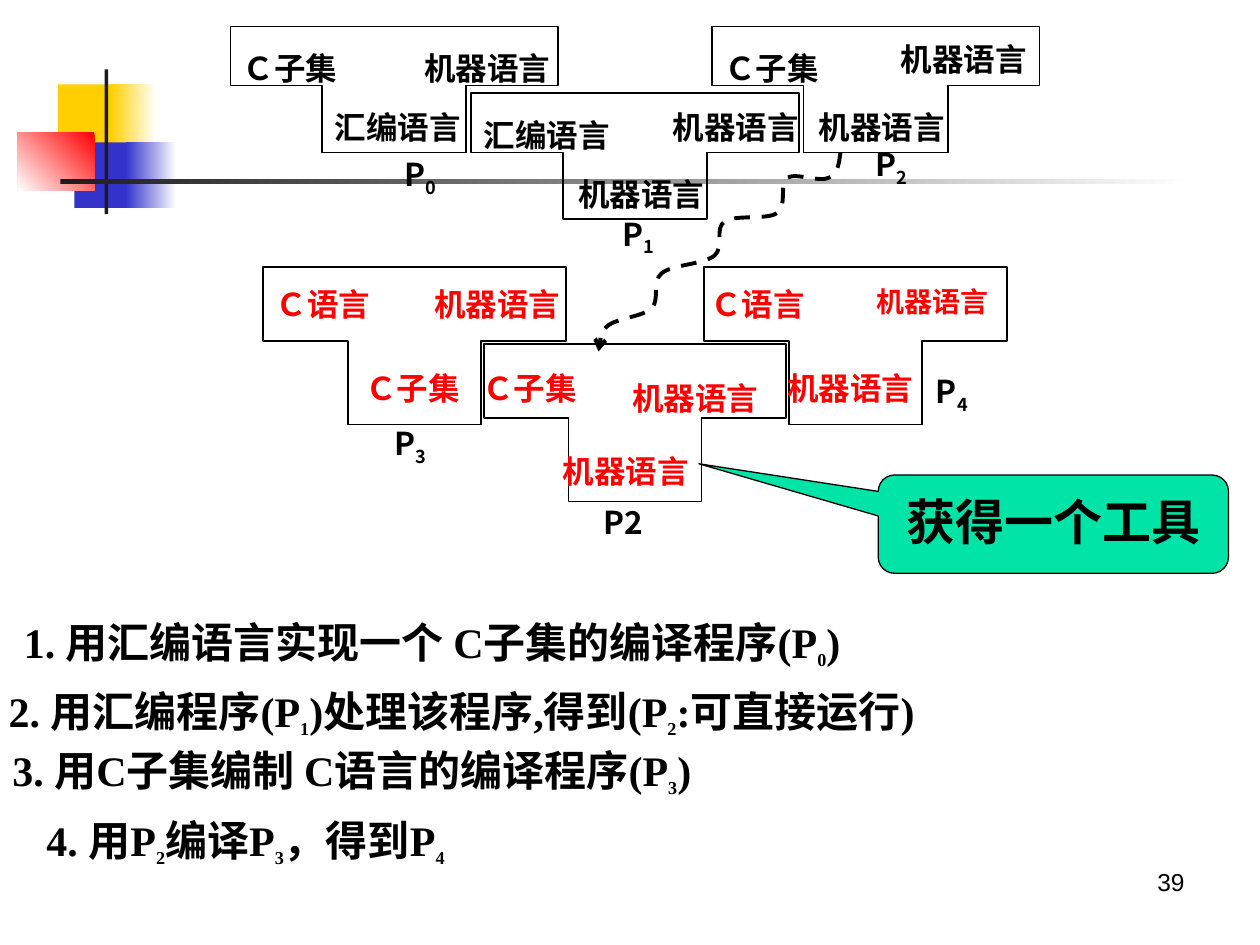
import pptx
import pptx.util
import pptx.dml.color
import pptx.enum.dml
import pptx.enum.shapes
import pptx.enum.text
import pptx.oxml
import pptx.oxml.ns
import lxml.etree

Inches = pptx.util.Inches
Pt = pptx.util.Pt
RGBColor = pptx.dml.color.RGBColor
SHAPE = pptx.enum.shapes.MSO_SHAPE
ALIGN = pptx.enum.text.PP_ALIGN
qn = pptx.oxml.ns.qn

BLACK = RGBColor(0x00, 0x00, 0x00)
WHITE = RGBColor(0xFF, 0xFF, 0xFF)
RED = RGBColor(0xFF, 0x00, 0x00)
GOLD = RGBColor(0xFF, 0xCF, 0x01)
BLUE = RGBColor(0x33, 0x33, 0xCC)
DARK = RGBColor(0x1C, 0x1C, 0x1C)
GREEN = RGBColor(0x00, 0xE4, 0xA8)

SERIF = "Times New Roman"
SANS = "Noto Sans CJK SC"

BARS = [
    ((0.46, 0.67, 0.48, 0.52), GOLD, None),
    ((0.88, 0.67, 0.36, 0.52), GOLD, 0),
    ((0.59, 1.13, 0.46, 0.52), BLUE, None),
    ((1, 1.13, 0.4, 0.52), BLUE, 0),
    ((0.14, 1.05, 0.61, 0.46), RED, 225),
    ((0.83, 0.55, 0.03, 1.15), DARK, None),
    ((0.48, 1.42, 9, 0.04), DARK, 0),
]

TOP, LOW = (2.6, 1), (2.4, 1.25)
TEES = [
    ((5.59, 2.12), LOW, RED,
     [("Ｃ语言", -0.05, 0.09, 1.04, 18), ("机器语言", 1.27, 0.09, 1.13, 16),
      ("机器语言", 0.56, 0.76, 1.29, 18)], (["P", "4"], 1.74, 0.75, 0.85)),
    ((3.84, 2.73), LOW, RED,
     [("Ｃ子集", -0.11, 0.15, 1.03, 18), ("机器语言", 1.08, 0.23, 1.35, 18),
      ("机器语言", 0.53, 0.81, 1.26, 18)], (["P2"], 0.85, 1.18, 0.85)),
    ((1.83, 0.21), TOP, BLACK,
     [("Ｃ子集", 0, 0.13, 0.96, 18), ("机器语言", 1.44, 0.13, 1.26, 18),
      ("汇编语言", 0.73, 0.6, 1.23, 18)], (["P", "0"], 1.28, 0.94, 1.22)),
    ((3.74, 0.74), TOP, BLACK,
     [("汇编语言", 0, 0.13, 1.26, 18), ("机器语言", 1.5, 0.07, 1.27, 18),
      ("机器语言", 0.75, 0.6, 1.22, 18)], (["P", "1"], 1.1, 0.88, 0.98)),
    ((5.65, 0.21), TOP, BLACK,
     [("Ｃ子集", 0, 0.13, 1.01, 18), ("机器语言", 1.4, 0.06, 1.31, 18),
      ("机器语言", 0.75, 0.6, 1.28, 18)], (["P", "2"], 1.2, 0.86, 0.98)),
    ((2.09, 2.12), LOW, RED,
     [("Ｃ语言", 0, 0.09, 1.02, 18), ("机器语言", 1.26, 0.09, 1.26, 18),
      ("Ｃ子集", 0.71, 0.76, 1.02, 18)], (["P", "3"], 0.94, 1.16, 0.85)),
]

CURVE = [
    (6.67, 1.21), (6.66, 1.29), (6.65, 1.38), (6.58, 1.41), (6.51, 1.45),
    (6.32, 1.37), (6.25, 1.41), (6.18, 1.46), (6.25, 1.63), (6.17, 1.69),
    (6.08, 1.75), (5.83, 1.7), (5.75, 1.76), (5.67, 1.81), (5.75, 1.96),
    (5.67, 2.03), (5.58, 2.1), (5.33, 2.1), (5.25, 2.17), (5.17, 2.24),
    (5.24, 2.38), (5.17, 2.45), (5.1, 2.51), (4.9, 2.53), (4.83, 2.58),
    (4.76, 2.64), (4.76, 2.72), (4.75, 2.79),
]

STEPS = [
    ((0.09, 4.76, 7.09, 0.61), 1.2, False,
     ["1. 用汇编语言实现一个 C子集的编译程序(P", "0", ")"]),
    ((-0.03, 5.31, 8.03, 0.61), 1.2, False,
     ["2. 用汇编程序(P", "1", ")处理该程序,得到(P", "2", ":可直接运行)"]),
    ((0, 5.82, 6.16, 0.57), 1.1, False,
     ["3. 用C子集编制 C语言的编译程序(P", "3", ")"]),
    ((0.27, 6.33, 9.33, 0.61), 1.2, True,
     ["4. 用P", "2", "编译P", "3", "，得到P", "4"]),
]


def place(box):
    """Turn a box in inches into lengths."""
    return [Inches(part) for part in box]


def write(para, parts, size, face, tint, bold=True):
    """Add runs to a paragraph, every second one as an 18 pt subscript."""
    for rank, part in enumerate(parts):
        run = para.add_run()
        run.text = part
        font = run.font
        font.size = Pt(18 if rank % 2 else size)
        font.bold = bold
        font.name = face
        font.color.rgb = tint
        props = run._r.get_or_add_rPr()
        if rank % 2:
            props.set("baseline", "-25000")
        lxml.etree.SubElement(props, qn("a:ea")).set("typeface", SANS)


def label(slide, box, parts, size=18, face=SERIF, tint=BLACK, lead=None,
          wrap=True, bold=True, align=None):
    """Put one line of text in a text box."""
    frame = slide.shapes.add_textbox(*place(box)).text_frame
    frame.word_wrap = wrap
    para = frame.paragraphs[0]
    para.line_spacing = lead
    para.alignment = align
    write(para, parts, size, face, tint, bold)


def trace(slide, points, close):
    """Draw an unfilled black outline through points in inches."""
    first, *rest = [tuple(place(point)) for point in points]
    build = slide.shapes.build_freeform(*first)
    build.add_line_segments(rest, close=close)
    shape = build.convert_to_shape()
    shape.shadow.inherit = False
    shape.fill.background()
    shape.line.color.rgb = BLACK
    shape.line.width = Pt(1)
    return shape


def bar(slide, box, tint, turn):
    """Draw a plain bar, or one that fades to white."""
    shape = slide.shapes.add_shape(SHAPE.RECTANGLE, *place(box))
    shape.shadow.inherit = False
    shape.line.fill.background()
    if turn is None:
        shape.fill.solid()
        shape.fill.fore_color.rgb = tint
        return
    shape.fill.gradient()
    shape.fill.gradient_angle = turn
    for stop, hue, spot in zip(shape.fill.gradient_stops, (tint, WHITE), (0, 1)):
        stop.color.rgb = hue
        stop.position = spot


def tee(slide, spot, size, tint, words, tag):
    """Draw a T diagram with its three words and its tag."""
    (left, top), (wide, high) = spot, size
    near, far = left + 0.28 * wide, left + 0.72 * wide
    right, neck, base = left + wide, top + 0.47 * high, top + high
    trace(slide, [(left, top), (left, neck), (near, neck), (near, base),
                  (far, base), (far, neck), (right, neck), (right, top)], True)
    for word, x, y, span, points in words:
        label(slide, (left + x, top + y, span, 0.4), [word], points, tint=tint)
    parts, x, y, span = tag
    label(slide, (left + x, top + y, span, 0.48), parts, face=SANS, lead=1.1)


def curl(slide, points):
    """Draw the dashed curved arrow through Bezier points."""
    shape = trace(slide, points, False)
    shape.line.width = Pt(2.25)
    shape.line.dash_style = pptx.enum.dml.MSO_LINE.DASH
    lines = list(shape._element.iter(qn("a:lnTo")))
    for start in range(0, len(lines), 3):
        bend = lxml.etree.Element(qn("a:cubicBezTo"))
        lines[start].addprevious(bend)
        for line in lines[start:start + 3]:
            bend.append(line[0])
            line.getparent().remove(line)
    edge = shape.line._get_or_add_ln()
    lxml.etree.SubElement(edge, qn("a:tailEnd")).set("type", "arrow")


def callout(slide, box, text):
    """Draw the green speech callout."""
    shape = slide.shapes.add_shape(SHAPE.ROUNDED_RECTANGULAR_CALLOUT, *place(box))
    shape.shadow.inherit = False
    for rank, value in enumerate((-1.012, -0.615, 0.167)):
        shape.adjustments[rank] = value
    shape.fill.solid()
    shape.fill.fore_color.rgb = GREEN
    shape.line.color.rgb = BLACK
    shape.line.width = Pt(0.75)
    frame = shape.text_frame
    frame.word_wrap = True
    frame.vertical_anchor = pptx.enum.text.MSO_ANCHOR.TOP
    para = frame.paragraphs[0]
    para.alignment = ALIGN.CENTER
    para.line_spacing = 1.1
    write(para, [text], 28, SANS, BLACK)


def main():
    """Build and save the slide."""
    deck = pptx.Presentation()
    deck.slide_width, deck.slide_height = Inches(10), Inches(7.5)
    slide = deck.slides.add_slide(deck.slide_layouts[6])
    for item in BARS:
        bar(slide, *item)
    for item in TEES:
        tee(slide, *item)
    curl(slide, CURVE)
    callout(slide, (6.97, 3.77, 2.78, 0.78), "获得一个工具")
    for box, lead, wrap, parts in STEPS:
        label(slide, box, parts, 24, lead=lead, wrap=wrap)
    label(slide, (7.17, 6.83, 2.33, 0.52), ["39"], 14, "Arial",
          bold=False, align=ALIGN.RIGHT)
    deck.save("out.pptx")


if __name__ == "__main__":
    main()
